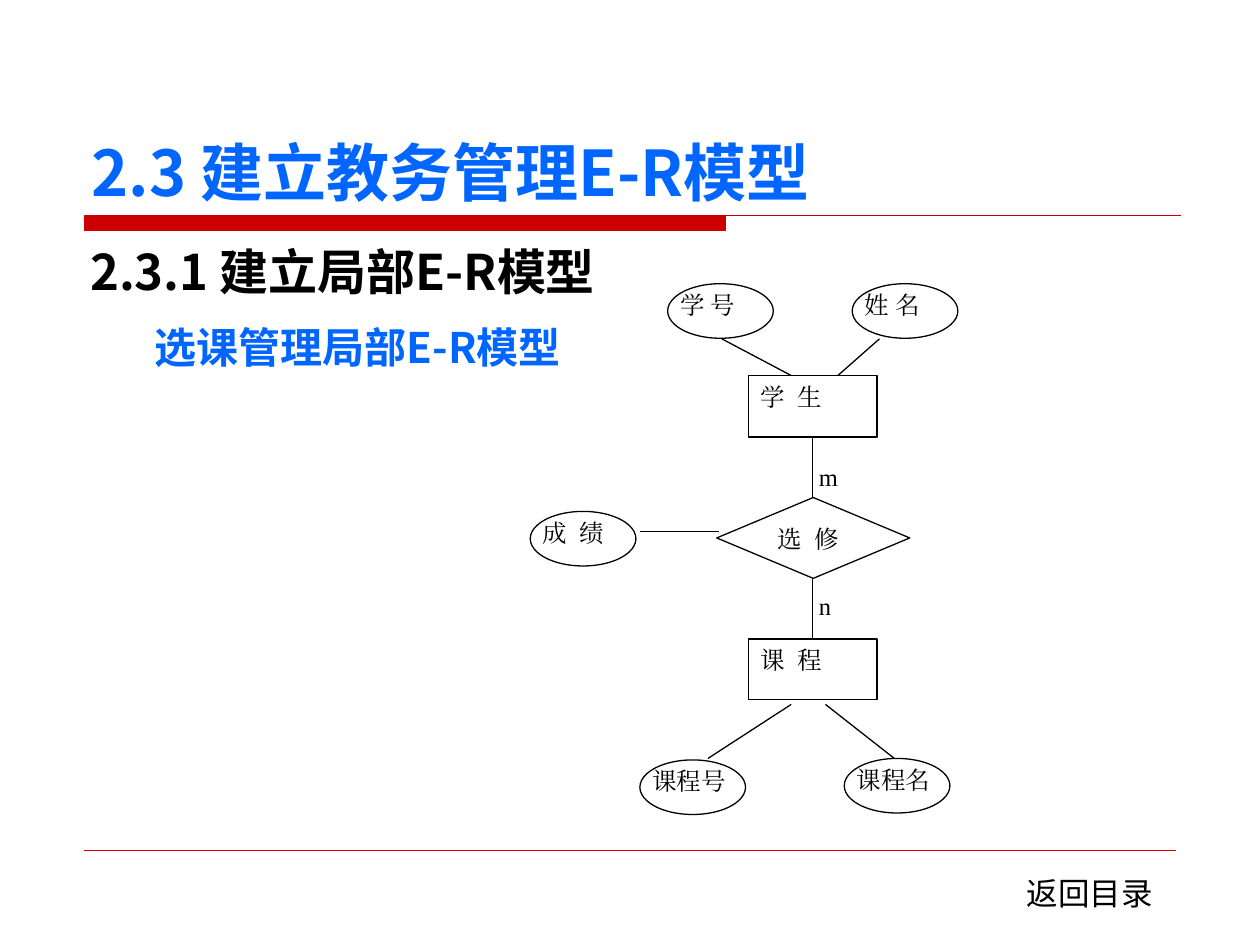
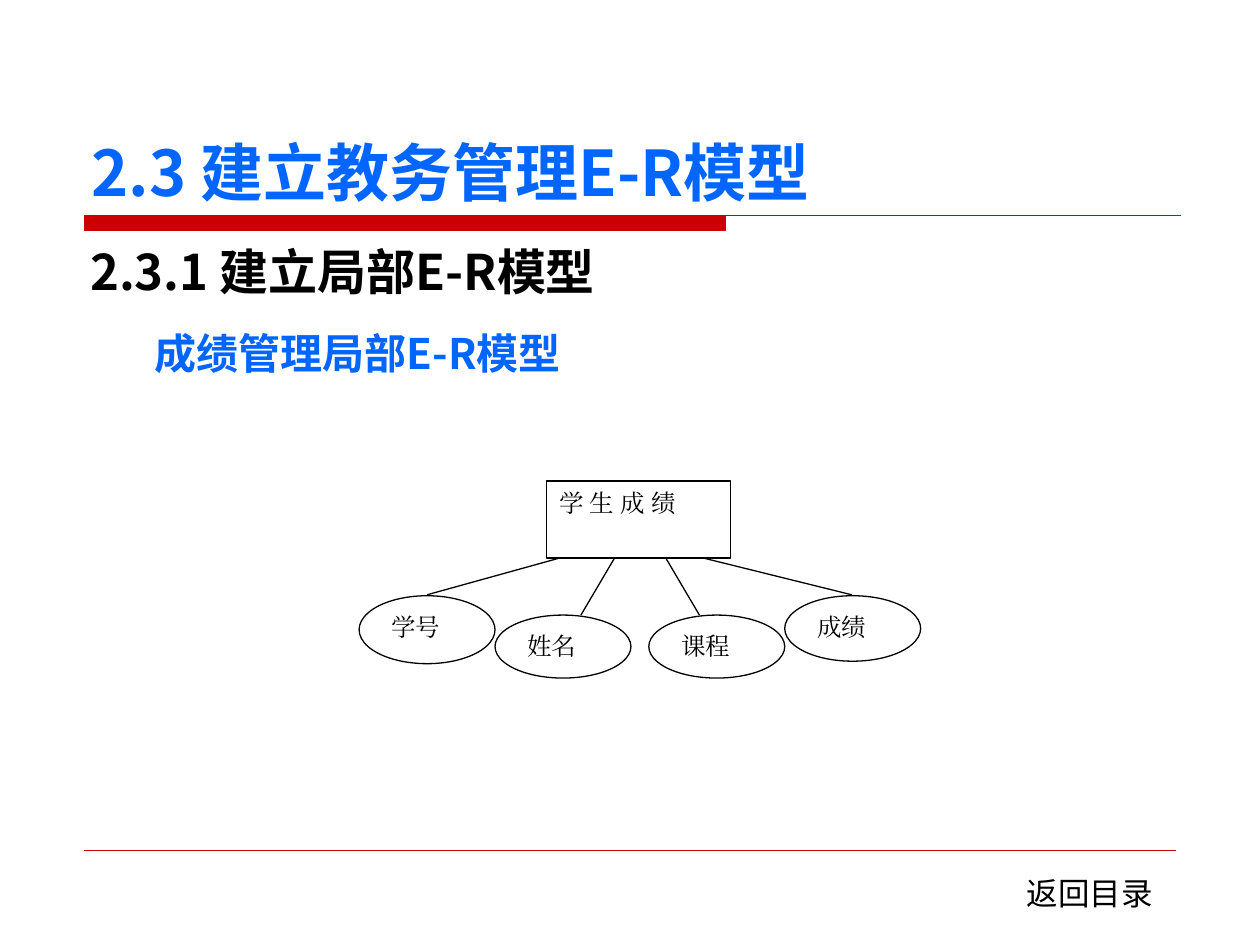
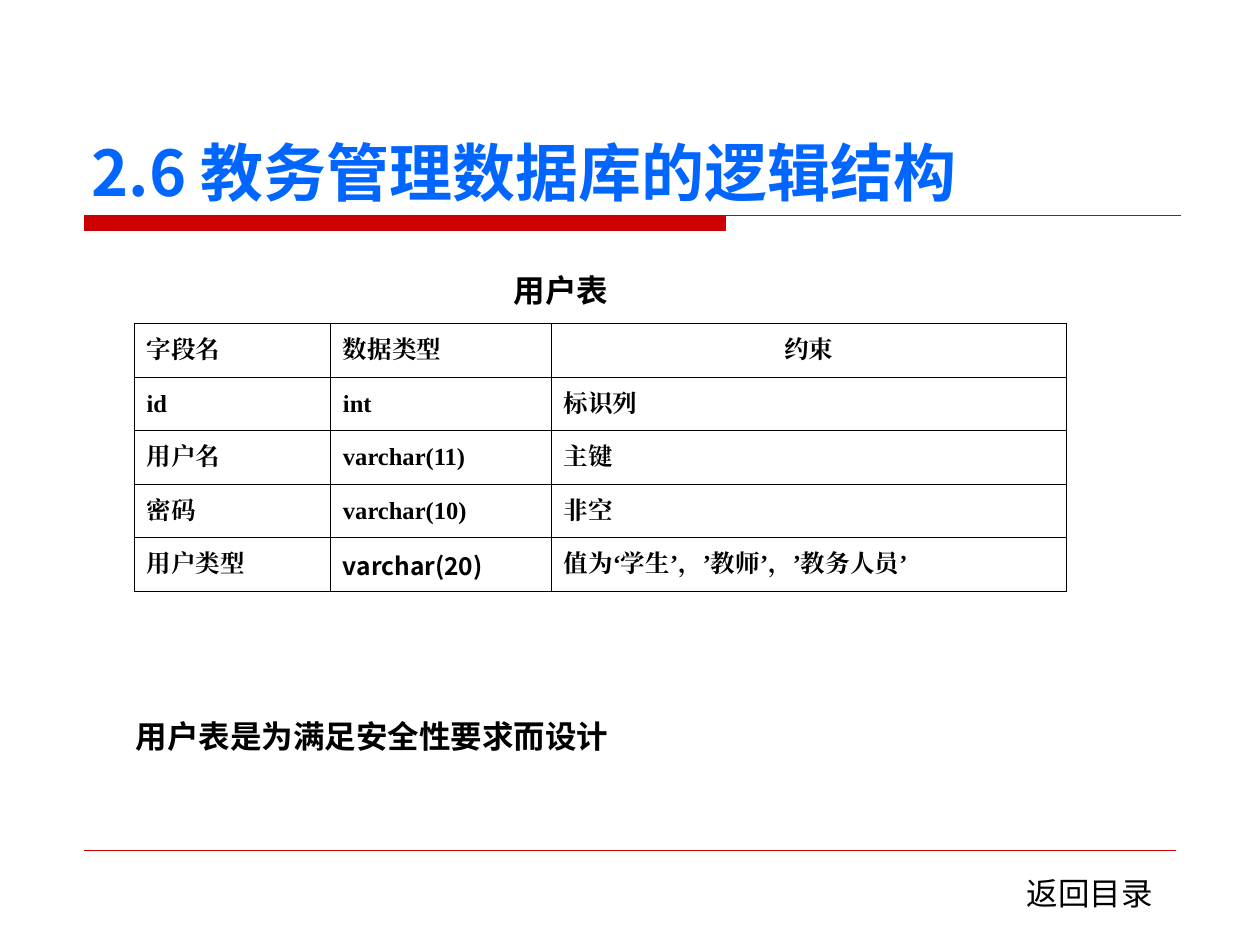
from lxml import etree
from pptx import Presentation
from pptx import util as u
from pptx.dml.color import RGBColor
from pptx.enum import shapes, text
from pptx.oxml.ns import qn

COLORS = {"title": "0066FF", "ink": "000000", "band": "CC0000", "paper": "FFFFFF"}
SANS, SERIF, PLAIN = "Noto Sans CJK SC", "Times New Roman", "DejaVu Sans"
INSETS = (0.25, 0.13, 0.25, 0.13)
HAIRLINE = 0.74
GAP = "\u2002"  # en space between the two characters of a label
RECT, OVAL, DIAMOND = (shapes.MSO_SHAPE.RECTANGLE, shapes.MSO_SHAPE.OVAL,
                       shapes.MSO_SHAPE.DIAMOND)


def rgb(name):
    return RGBColor.from_string(COLORS[name])


class Deck:
    """Holds the shared style and the slide being drawn."""

    def __init__(self):
        self.prs = Presentation()
        self.prs.slide_width, self.prs.slide_height = u.Cm(25.4), u.Cm(19.05)
        self.slide = None

    def new_slide(self, title):
        self.slide = self.prs.slides.add_slide(self.prs.slide_layouts[6])
        self.band()
        self.line((1.7, 17.15), (23.7, 17.15), "band", 0.26)
        heading = self.text_box((1.6, 0.84, 22.23, 3.38), title, 36, SANS, "title", True,
                                insets=(0.25, 0.13, 0.25, 0))
        heading.vertical_anchor = text.MSO_ANCHOR.BOTTOM
        self.text_box((20.45, 17.48, 3.18, 1.02), "返回目录", 18, PLAIN)

    def band(self):
        """Thick bar on the left with a thin rule across the slide."""
        left, top, bar_end, bottom, rule_end = map(u.Cm, (1.7, 4.34, 14.63, 4.65, 23.8))
        pen = self.slide.shapes.build_freeform(left, top)
        pen.add_line_segments([(bar_end, top), (bar_end, bottom), (left, bottom)])
        pen.move_to(left, top)
        pen.add_line_segments([(rule_end, top)], close=False)
        self.paint(pen.convert_to_shape(), "band", "band")

    def paint(self, shape, fill, line):
        shape.shadow.inherit = False
        shape.fill.solid()
        shape.fill.fore_color.rgb = rgb(fill)
        shape.line.color.rgb = rgb(line)
        shape.line.width = u.Pt(HAIRLINE)

    def run(self, paragraph, words, size, font, color="ink", bold=False):
        run = paragraph.add_run()
        run.text = words
        run.font.size, run.font.name, run.font.bold = u.Pt(size), font, bold
        run.font.color.rgb = rgb(color)
        east_asian = etree.SubElement(run.font._element, qn("a:ea"))
        east_asian.set("typeface", font)

    def frame(self, shape, insets=INSETS):
        frame = shape.text_frame
        frame.word_wrap = True
        frame.vertical_anchor = text.MSO_ANCHOR.TOP
        (frame.margin_left, frame.margin_top,
         frame.margin_right, frame.margin_bottom) = map(u.Cm, insets)
        frame.paragraphs[0].alignment = text.PP_ALIGN.LEFT
        return frame

    def text_box(self, box, words, size, font, color="ink", bold=False, insets=INSETS):
        frame = self.frame(self.slide.shapes.add_textbox(*map(u.Cm, box)), insets)
        self.run(frame.paragraphs[0], words, size, font, color, bold)
        return frame

    def section(self, heading, topic, gap):
        body = self.text_box((1.57, 4.88, 22.23, 11.86), heading, 28, SANS, bold=True)
        topic_line = body.add_paragraph()
        topic_line.space_before = u.Pt(gap)
        topic_line._p.get_or_add_pPr().set("marL", str(u.Cm(1.3)))
        self.run(topic_line, topic, 24, SANS, "title", True)
        for paragraph in body.paragraphs:
            paragraph.line_spacing = 0.9

    def line(self, start, end, color="ink", width=HAIRLINE):
        link = self.slide.shapes.add_connector(
            shapes.MSO_CONNECTOR.STRAIGHT, *map(u.Cm, start + end))
        link.line.color.rgb = rgb(color)
        link.line.width = u.Pt(width)
        etree.SubElement(link._element.spPr, qn("a:effectLst"))

    def node(self, kind, box, words=""):
        node = self.slide.shapes.add_shape(kind, *map(u.Cm, box))
        self.paint(node, "paper", "ink")
        if words:
            self.run(self.frame(node).paragraphs[0], words, 14, SERIF)

    def attribute(self, left, top, words):
        """Small ellipse with a wider label over it."""
        self.node(OVAL, (left, top, 2.13, 1.1))
        self.text_box((left, top, 2.49, 1.1), words, 14, SERIF)

    def table(self, left, top, widths, row_height, rows):
        grid = self.slide.shapes.add_table(
            len(rows), len(widths), u.Cm(left), u.Cm(top),
            u.Cm(sum(widths)), u.Cm(row_height * len(rows))).table
        grid.first_row = grid.horz_banding = False
        for column, width in zip(grid.columns, widths):
            column.width = u.Cm(width)
        for r, row in enumerate(rows):
            grid.rows[r].height = u.Cm(row_height)
            for c, words in enumerate(row):
                cell = grid.cell(r, c)
                cell.vertical_anchor = text.MSO_ANCHOR.MIDDLE
                self.borders(cell)
                cell.fill.background()
                font = SANS if words == "varchar(20)" else SERIF
                self.run(cell.text_frame.paragraphs[0], words, 14, font, bold=True)
        grid.cell(0, len(widths) - 1).text_frame.paragraphs[0].alignment = text.PP_ALIGN.CENTER

    def borders(self, cell):
        props = cell._tc.get_or_add_tcPr()
        for side in ("lnL", "lnR", "lnT", "lnB"):
            edge = etree.SubElement(props, qn("a:" + side), w=str(u.Pt(0.45)))
            fill = etree.SubElement(edge, qn("a:solidFill"))
            etree.SubElement(fill, qn("a:srgbClr"), val=COLORS["ink"])


deck = Deck()
MODEL_TITLE, MODEL_SECTION = "2.3 建立教务管理E-R模型", "2.3.1 建立局部E-R模型"

# Slide 1: course selection model
deck.new_slide(MODEL_TITLE)
deck.section(MODEL_SECTION, "选课管理局部E-R模型", 15)
axis = 16.38
for start, end in [
    ((14.55, 6.83), (15.95, 7.57)), ((16.89, 7.57), (17.73, 6.83)),    # student attributes
    ((axis, 8.79), (axis, 10.03)), ((axis, 11.66), (axis, 12.88)),     # relationship
    ((12.9, 10.72), (14.5, 10.72)),                                    # grade
    ((15.95, 14.2), (14.27, 15.29)), ((16.64, 14.2), (18.03, 15.29)),  # course attributes
]:
    deck.line(start, end)
deck.node(RECT, (15.09, 7.57, 2.59, 1.24), f"学{GAP}生")
deck.node(DIAMOND, (14.45, 10.03, 3.89, 1.63), f"选{GAP}修")
deck.node(RECT, (15.09, 12.88, 2.59, 1.22), f"课{GAP}程")
for left, top, words in [
    (13.46, 5.72, "学 号"), (17.18, 5.72, "姓 名"), (10.69, 10.31, f"成{GAP}绩"),
    (12.9, 15.32, "课程号"), (17.02, 15.29, "课程名"),
]:
    deck.attribute(left, top, words)
for top, cardinality in [(9.32, "m"), (11.91, "n")]:
    deck.text_box((16.51, top, 1.2, 0.7), cardinality, 14, SERIF, insets=(0, 0, 0, 0))

# Slide 2: grade management model
deck.new_slide(MODEL_TITLE)
deck.section(MODEL_SECTION, "成绩管理局部E-R模型", 18)
entity_bottom = 11.23
for start_x, end in [(11.35, (8.61, 11.99)), (12.4, (11.71, 12.4)),
                     (13.41, (14.1, 12.4)), (14.1, (17.17, 11.99))]:
    deck.line((start_x, entity_bottom), end)
deck.node(RECT, (11.02, 9.7, 3.71, 1.55), "学 生 成 绩")
for left, top, height, words in [
    (7.24, 12.01, 1.37, "学号"), (9.98, 12.4, 1.27, "姓名"),
    (13.08, 12.4, 1.27, "课程"), (15.82, 12.01, 1.32, "成绩"),
]:
    deck.node(OVAL, (left, top, 2.74, height), words)

# Slide 3: user table
deck.new_slide("2.6 教务管理数据库的逻辑结构")
deck.text_box((10.11, 5.33, 2.6, 1.02), "用户表", 18, PLAIN, bold=True)
deck.table(2.7, 6.52, (3.96, 4.45, 10.39), 1.08, [
    ("字段名", "数据类型", "约束"),
    ("id", "int", "标识列"),
    ("用户名", "varchar(11)", "主键"),
    ("密码", "varchar(10)", "非空"),
    ("用户类型", "varchar(20)", "值为‘学生’，’教师’，’教务人员’"),
])
deck.text_box((2.49, 14.33, 12.4, 1.02), "用户表是为满足安全性要求而设计", 18, PLAIN, bold=True)

deck.prs.save("out.pptx")
